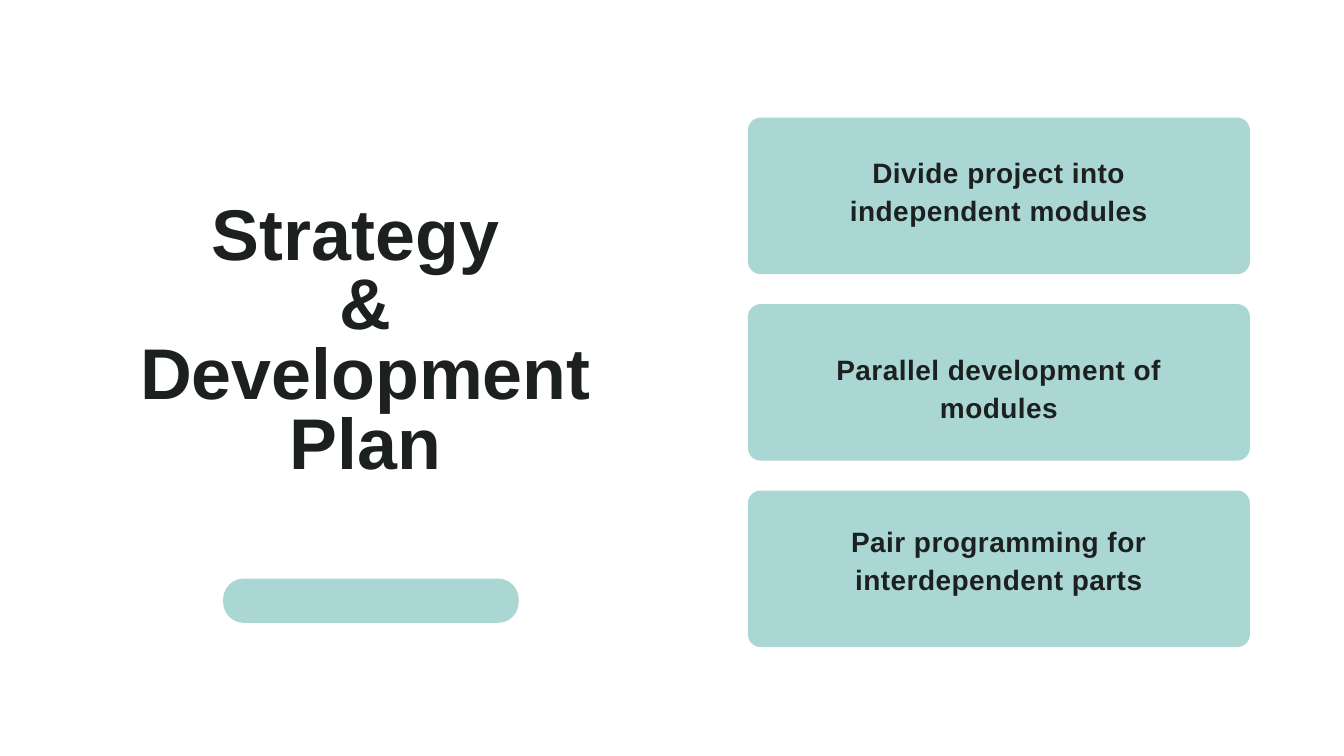
from pptx import Presentation
from pptx import util as u
from pptx.dml.color import RGBColor
from pptx.enum import shapes, text

COLOURS = {"background": "FFFFFF", "panel": "AAD7D4", "ink": "1C2120"}
FONT = "Arial"

CARD_LEFT, CARD_TOP, CARD_WIDTH, CARD_HEIGHT = 11.13, 1.75, 7.47, 2.33
CARD_PITCH = 2.775
LABEL_WIDTH, LABEL_HEIGHT = 5.69, 1.75

# Each card's wording and the top of its label
CARDS = [
    ("Divide project into independent modules", 2.25),
    ("Parallel development of modules", 5.19),
    ("Pair programming for interdependent parts", 7.75),
]


def rgb(name):
    return RGBColor.from_string(COLOURS[name])


def add_panel(slide, left, top, width, height, radius):
    """Add a plain rounded panel whose corner radius is in inches."""
    panel = slide.shapes.add_shape(
        shapes.MSO_SHAPE.ROUNDED_RECTANGLE,
        u.Inches(left), u.Inches(top), u.Inches(width), u.Inches(height))
    panel.adjustments[0] = radius / min(width, height)
    panel.shadow.inherit = False
    panel.fill.solid()
    panel.fill.fore_color.rgb = rgb("panel")
    panel.line.fill.background()


def write_centred(frame, lines, size, leading, tracking=0):
    """Fill a frame with bold centred paragraphs; tracking is in points."""
    frame.margin_left = frame.margin_right = 0
    frame.margin_top = frame.margin_bottom = 0
    frame.word_wrap = True
    frame.auto_size = text.MSO_AUTO_SIZE.NONE
    frame.vertical_anchor = text.MSO_ANCHOR.TOP
    frame.text = "\n".join(lines)
    for paragraph in frame.paragraphs:
        paragraph.alignment = text.PP_ALIGN.CENTER
        paragraph.line_spacing = u.Pt(leading)
        paragraph.font.name = FONT
        paragraph.font.size = u.Pt(size)
        paragraph.font.bold = True
        paragraph.font.color.rgb = rgb("ink")
        if tracking:
            for run in paragraph.runs:
                run._r.get_or_add_rPr().set("spc", str(int(tracking * 100)))


def add_title(slide):
    title = slide.shapes.title
    title.left, title.top = u.Inches(1.66), u.Inches(3.05)
    title.width, title.height = u.Inches(7.56), u.Inches(4.66)
    write_centred(title.text_frame, ["Strategy ", "& Development Plan"],
                  size=76.9, leading=74.6)


def add_label(slide, wording, top):
    left = CARD_LEFT + (CARD_WIDTH - LABEL_WIDTH) / 2
    label = slide.shapes.add_textbox(
        u.Inches(left), u.Inches(top),
        u.Inches(LABEL_WIDTH), u.Inches(LABEL_HEIGHT))
    write_centred(label.text_frame, [wording], size=30, leading=40.5,
                  tracking=0.5)


def main():
    deck = Presentation()
    deck.slide_width, deck.slide_height = u.Inches(20), u.Inches(11.25)
    slide = deck.slides.add_slide(deck.slide_layouts[5])
    slide.background.fill.solid()
    slide.background.fill.fore_color.rgb = rgb("background")

    add_title(slide)
    add_panel(slide, 3.32, 8.61, 4.4, 0.66, radius=0.31)
    for row, (wording, label_top) in enumerate(CARDS):
        add_panel(slide, CARD_LEFT, CARD_TOP + row * CARD_PITCH,
                  CARD_WIDTH, CARD_HEIGHT, radius=0.19)
        add_label(slide, wording, label_top)

    deck.save("out.pptx")


if __name__ == "__main__":
    main()
